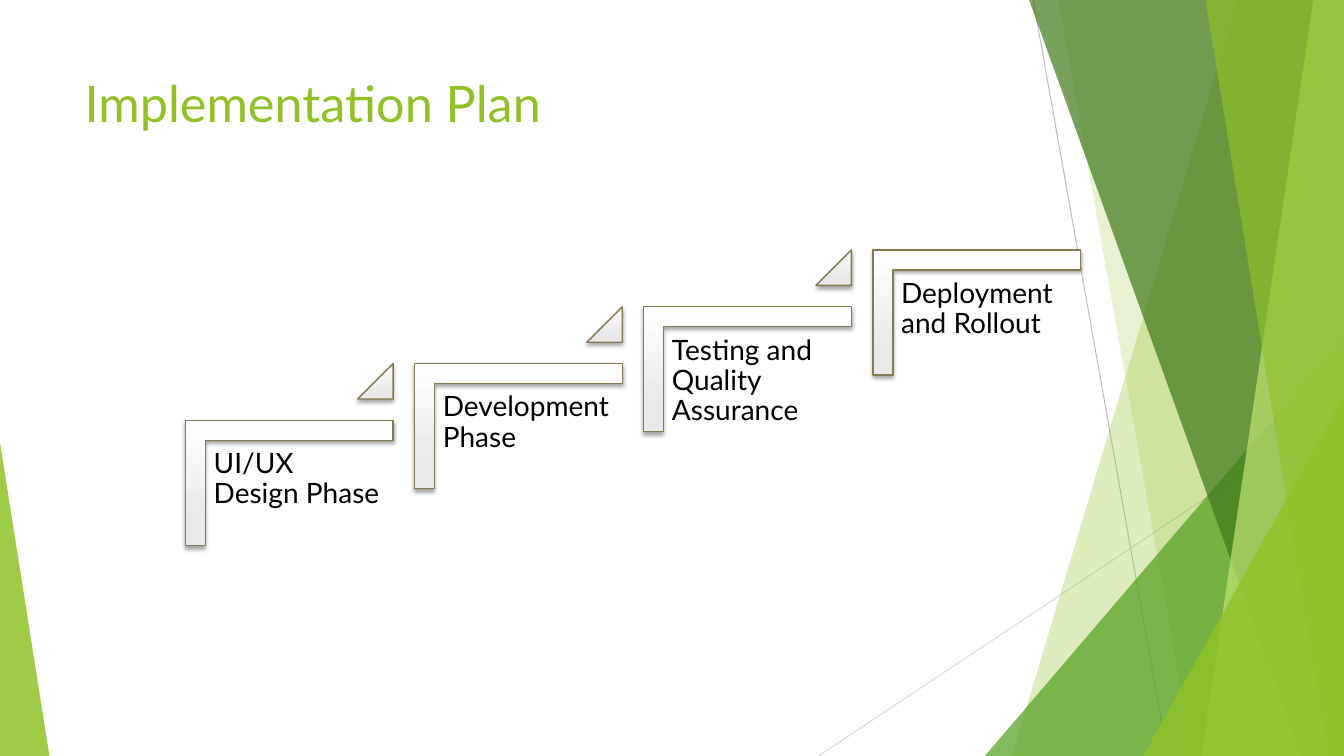
from dataclasses import dataclass

import lxml.etree
import pptx
import pptx.dml.color
import pptx.enum.shapes
import pptx.enum.text
import pptx.oxml.ns
import pptx.util

SHAPE = pptx.enum.shapes.MSO_SHAPE
FONT = "Lato"
COLOURS = {
    "lime": "90C226", "leaf": "54A021", "forest": "3F7819", "pale": "C0E474",
    "grey": "BFBFBF", "silver": "D9D9D9", "white": "FFFFFF", "shade": "E9E9E9",
    "olive": "847A4D", "black": "000000",
}

# Grid: 160 columns by 90 rows of square cells
COLUMNS, ROWS = 160, 90
CELL = pptx.util.Inches(1) / 12


@dataclass
class Ray:
    start: tuple[float, float]
    end: tuple[float, float]
    colour: str


@dataclass
class Panel:
    """Full-height band from a slanted left edge to the slide's right side."""
    top_column: float
    bottom_column: float
    colour: str
    opacity: int


@dataclass
class Wedge:
    """Right triangle standing on the slide's bottom edge."""
    left: float
    top: float
    width: float
    peak: float
    colour: str
    opacity: int


RAYS = [Ray((123, 0), (139, 90), "grey"), Ray((160, 48.36), (97.44, 90), "silver")]
FACETS = [
    Panel(147.36, 120.48, "lime", 30),
    Panel(126, 142, "lime", 20),
    Wedge(117.24, 40, 42.76, 1, "leaf", 72),
    Panel(122.52, 154.92, "forest", 70),
    Panel(156.36, 143.04, "pale", 70),
    Panel(143.52, 158.16, "lime", 65),
    Wedge(136.08, 47.16, 23.92, 1, "lime", 80),
    Wedge(0, 52.68, 5.88, 0, "lime", 85),
]
PHASES = ["UI/UX Design Phase", "Development Phase",
          "Testing and Quality Assurance", "Deployment and Rollout"]

# Staircase geometry in grid cells
FIRST_LEFT, FIRST_TOP = 22.08, 50.04
STEP_RIGHT, STEP_UP = 27.28, 6.76
STEP_WIDTH, STEP_HEIGHT = 24.72, 14.88
ARROW_SIDE = 4.22


def cells(count: float) -> int:
    return pptx.util.Emu(round(count * CELL))


def box(left: float, top: float, width: float, height: float) -> tuple[int, ...]:
    return tuple(cells(value) for value in (left, top, width, height))


def rgb(name: str) -> pptx.dml.color.RGBColor:
    return pptx.dml.color.RGBColor.from_string(COLOURS[name])


def add_node(parent, tag: str, **attributes: str):
    node = lxml.etree.SubElement(parent, pptx.oxml.ns.qn(tag))
    for key, value in attributes.items():
        node.set(key, value)
    return node


def draw_ray(slide, ray: Ray) -> None:
    line = slide.shapes.add_connector(
        pptx.enum.shapes.MSO_CONNECTOR.STRAIGHT,
        *(cells(value) for value in ray.start + ray.end))
    line.line.color.rgb = rgb(ray.colour)
    line.line.width = pptx.util.Pt(0.75)
    add_node(line._element.spPr, "a:effectLst")


def draw_facet(slide, facet: Panel | Wedge) -> None:
    if isinstance(facet, Panel):
        builder = slide.shapes.build_freeform(cells(facet.top_column), 0)
        corners = [(COLUMNS, 0), (COLUMNS, ROWS), (facet.bottom_column, ROWS)]
        builder.add_line_segments([(cells(x), cells(y)) for x, y in corners])
        shape = builder.convert_to_shape()
    else:
        shape = slide.shapes.add_shape(
            SHAPE.ISOSCELES_TRIANGLE,
            *box(facet.left, facet.top, facet.width, ROWS - facet.top))
        shape.adjustments[0] = facet.peak
    shape.shadow.inherit = False
    shape.line.fill.background()
    shape.fill.solid()
    shape.fill.fore_color.rgb = rgb(facet.colour)
    colour = shape._element.spPr.find(".//" + pptx.oxml.ns.qn("a:srgbClr"))
    add_node(colour, "a:alpha", val=str(facet.opacity * 1000))


def style_metal(shape) -> None:
    """White-to-grey gradient, olive outline and a soft shadow below."""
    shape.fill.gradient()
    shape.fill.gradient_angle = 270
    for stop, (position, name) in zip(shape.fill.gradient_stops,
                                      [(0, "white"), (0.78, "shade")]):
        stop.position = position
        stop.color.rgb = rgb(name)
    properties = shape._element.spPr
    properties.find(pptx.oxml.ns.qn("a:gradFill")).set("rotWithShape", "0")
    shape.line.color.rgb = rgb("olive")
    shape.line.width = pptx.util.Pt(1)
    shape.shadow.inherit = False
    shadow = add_node(properties.find(pptx.oxml.ns.qn("a:effectLst")), "a:outerShdw",
                      blurRad=str(pptx.util.Pt(3)), dist=str(pptx.util.Pt(2)),
                      dir="5400000", rotWithShape="0")
    add_node(add_node(shadow, "a:srgbClr", val=COLOURS["black"]), "a:alpha", val="35000")


def draw_phase(slide, index: int, phase: str) -> None:
    left = FIRST_LEFT + index * STEP_RIGHT
    top = FIRST_TOP - index * STEP_UP

    # Bracket: turned a quarter, so its own width and height are swapped
    inset = (STEP_WIDTH - STEP_HEIGHT) / 2
    bracket = slide.shapes.add_shape(
        SHAPE.CORNER, *box(left + inset, top - inset, STEP_HEIGHT, STEP_WIDTH))
    bracket.rotation = 90
    bracket.adjustments[0] = bracket.adjustments[1] = 0.16
    style_metal(bracket)

    # Label
    label = slide.shapes.add_textbox(*box(left + 2.4, top + 2.52, 22.32, 19.56))
    frame = label.text_frame
    frame.word_wrap = True
    frame.margin_left = frame.margin_right = pptx.util.Inches(0.08)
    frame.margin_top = frame.margin_bottom = pptx.util.Inches(0.08)
    wording = frame.paragraphs[0]
    wording.text = phase
    wording.line_spacing = 0.9
    wording.font.size = pptx.util.Pt(20)
    wording.font.name = FONT
    wording.font.color.rgb = rgb("black")

    # Arrow up to the next step's level
    if index < len(PHASES) - 1:
        arrow = slide.shapes.add_shape(
            SHAPE.ISOSCELES_TRIANGLE,
            *box(left + STEP_WIDTH - ARROW_SIDE, top - STEP_UP, ARROW_SIDE, ARROW_SIDE))
        arrow.adjustments[0] = 1
        style_metal(arrow)


def draw_heading(slide) -> None:
    heading = slide.shapes.title
    heading.left, heading.top, heading.width, heading.height = box(8.88, 8.04, 112.8, 17.28)
    frame = heading.text_frame
    frame.vertical_anchor = pptx.enum.text.MSO_ANCHOR.TOP
    frame.auto_size = pptx.enum.text.MSO_AUTO_SIZE.NONE
    wording = frame.paragraphs[0]
    wording.text = "Implementation Plan"
    wording.alignment = pptx.enum.text.PP_ALIGN.LEFT
    wording.font.size = pptx.util.Pt(36)
    wording.font.name = FONT
    wording.font.color.rgb = rgb("lime")


def main() -> None:
    deck = pptx.Presentation()
    deck.slide_width, deck.slide_height = cells(COLUMNS), cells(ROWS)
    slide = deck.slides.add_slide(deck.slide_layouts[5])
    for ray in RAYS:
        draw_ray(slide, ray)
    for facet in FACETS:
        draw_facet(slide, facet)
    draw_heading(slide)
    for index, phase in enumerate(PHASES):
        draw_phase(slide, index, phase)
    deck.save("out.pptx")


if __name__ == "__main__":
    main()
